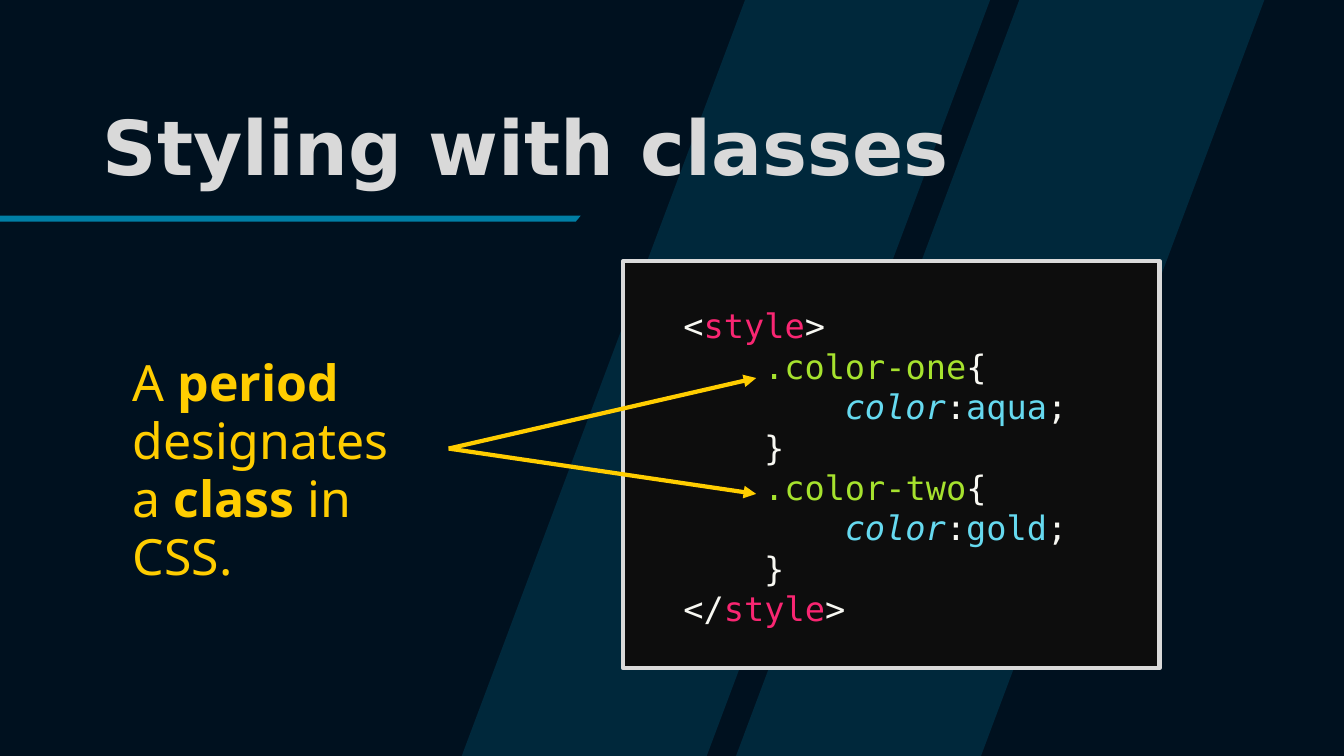
from dataclasses import dataclass

from lxml.etree import SubElement
from pptx import Presentation
from pptx.dml.color import RGBColor
from pptx.enum.shapes import MSO_CONNECTOR, MSO_SHAPE
from pptx.enum.text import MSO_ANCHOR, MSO_AUTO_SIZE, PP_ALIGN
from pptx.oxml.ns import qn
from pptx.slide import Slide
from pptx.util import Emu, Length, Pt

EMU_PER_PX = 9144
COLORS = {
    "night": "00111F",
    "cyan": "00AEDE",
    "silver": "D9D9D9",
    "gold": "FFCD00",
    "panel": "0D0D0D",
    "plain": "F8F8F2",
    "tag": "F92672",
    "selector": "A6E22E",
    "value": "66D9EF",
}
CODE_LEFT = 50
CODE_INDENT = 80


@dataclass(frozen=True)
class Band:
    points: tuple[tuple[int, int], ...]
    opacity: int


@dataclass(frozen=True)
class Piece:
    text: str
    color: str
    bold: bool = False
    italic: bool = False


@dataclass(frozen=True)
class CodeLine:
    depth: int
    pieces: tuple[Piece, ...]


def px(length: int) -> Length:
    return Emu(length * EMU_PER_PX)


def rgb(name: str) -> RGBColor:
    return RGBColor.from_string(COLORS[name])


def stripe(top_left: int) -> Band:
    width, slant = 243, 281
    bottom_left = top_left - slant
    return Band(((top_left, 0), (top_left + width, 0),
                 (bottom_left + width, 750), (bottom_left, 750)), 15)


def rule(name: str, value: str) -> CodeLine:
    return CodeLine(2, (Piece(name, "value", italic=True), Piece(":", "plain"),
                        Piece(value, "value"), Piece(";", "plain")))


def selector(name: str, value: str) -> tuple[CodeLine, ...]:
    return (
        CodeLine(1, (Piece(name, "selector"), Piece("{", "plain"))),
        rule("color", value),
        CodeLine(1, (Piece("}", "plain"),)),
    )


def style_tag(opening: str) -> CodeLine:
    return CodeLine(0, (Piece(opening, "plain"), Piece("style", "tag"),
                        Piece(">", "plain")))


BANDS = (
    stripe(1011),
    stripe(739),
    Band(((0, 214), (576, 214), (571, 220), (0, 220)), 70),
)
EXPLANATION = (
    Piece("A ", "gold"),
    Piece("period", "gold", bold=True),
    Piece(" designates a ", "gold"),
    Piece("class", "gold", bold=True),
    Piece(" in CSS.", "gold"),
)
CODE = (
    style_tag("<"),
    *selector(".color-one", "aqua"),
    *selector(".color-two", "gold"),
    style_tag("</"),
)
ARROW_START = (445, 445)
ARROW_ENDS = ((750, 375), (750, 490))


def draw_band(slide: Slide, band: Band) -> None:
    builder = slide.shapes.build_freeform(*band.points[0], scale=EMU_PER_PX)
    builder.add_line_segments(band.points[1:], close=True)
    shape = builder.convert_to_shape()
    shape.shadow.inherit = False
    shape.line.fill.background()
    shape.fill.solid()
    shape.fill.fore_color.rgb = rgb("cyan")
    color = shape.fill._xPr.find(qn("a:solidFill"))[0]
    SubElement(color, qn("a:alpha"), val=str(band.opacity * 1000))


def write_pieces(paragraph, pieces: tuple[Piece, ...], font: str, size: float) -> None:
    for piece in pieces:
        run = paragraph.add_run()
        run.text = piece.text
        run.font.name = font
        run.font.size = Pt(size)
        run.font.bold = piece.bold
        run.font.italic = piece.italic
        run.font.color.rgb = rgb(piece.color)


def write_heading(slide: Slide) -> None:
    heading = slide.shapes.title
    heading.left, heading.top, heading.width, heading.height = map(px, (92, 50, 1150, 145))
    frame = heading.text_frame
    frame.text = "Styling with classes"
    frame.auto_size = MSO_AUTO_SIZE.NONE
    frame.vertical_anchor = MSO_ANCHOR.BOTTOM
    line = frame.paragraphs[0]
    line.alignment = PP_ALIGN.LEFT
    line.line_spacing = 0.9
    font = line.runs[0].font
    font.name, font.size, font.bold = "DejaVu Sans", Pt(54), True
    font.color.rgb = rgb("silver")


def write_explanation(slide: Slide) -> None:
    frame = slide.shapes.add_textbox(*map(px, (122, 341, 314, 238))).text_frame
    frame.word_wrap = True
    frame.margin_top = px(11)
    frame.margin_right = px(20)
    frame.paragraphs[0].line_spacing = 0.97
    write_pieces(frame.paragraphs[0], EXPLANATION, "Noto Sans", 35.7)


def draw_code_panel(slide: Slide) -> None:
    panel = slide.shapes.add_shape(MSO_SHAPE.RECTANGLE, *map(px, (618, 259, 532, 404)))
    panel.shadow.inherit = False
    panel.fill.solid()
    panel.fill.fore_color.rgb = rgb("panel")
    panel.line.color.rgb = rgb("silver")
    panel.line.width = Pt(3)
    frame = panel.text_frame
    frame.word_wrap = True
    frame.vertical_anchor = MSO_ANCHOR.MIDDLE
    frame.margin_top, frame.margin_bottom = px(9), px(5)
    for index, code_line in enumerate(CODE):
        paragraph = frame.add_paragraph() if index else frame.paragraphs[0]
        paragraph.alignment = PP_ALIGN.LEFT
        paragraph.line_spacing = Pt(28.9)
        indent = px(CODE_LEFT + CODE_INDENT * code_line.depth)
        paragraph._p.get_or_add_pPr().set("marL", str(indent))
        write_pieces(paragraph, code_line.pieces, "DejaVu Sans Mono", 24)


def draw_arrow(slide: Slide, end: tuple[int, int]) -> None:
    arrow = slide.shapes.add_connector(MSO_CONNECTOR.STRAIGHT, *map(px, ARROW_START + end))
    arrow.line.color.rgb = rgb("gold")
    arrow.line.width = Pt(3)
    SubElement(arrow.line._get_or_add_ln(), qn("a:tailEnd"), type="triangle")
    SubElement(arrow._element.spPr, qn("a:effectLst"))


def main() -> None:
    deck = Presentation()
    deck.slide_width, deck.slide_height = px(1333), px(750)
    slide = deck.slides.add_slide(deck.slide_layouts[5])
    slide.background.fill.solid()
    slide.background.fill.fore_color.rgb = rgb("night")
    for band in BANDS:
        draw_band(slide, band)
    heading = slide.shapes.title._element
    heading.getparent().append(heading)
    write_heading(slide)
    write_explanation(slide)
    draw_code_panel(slide)
    for end in ARROW_ENDS:
        draw_arrow(slide, end)
    deck.save("out.pptx")


if __name__ == "__main__":
    main()
